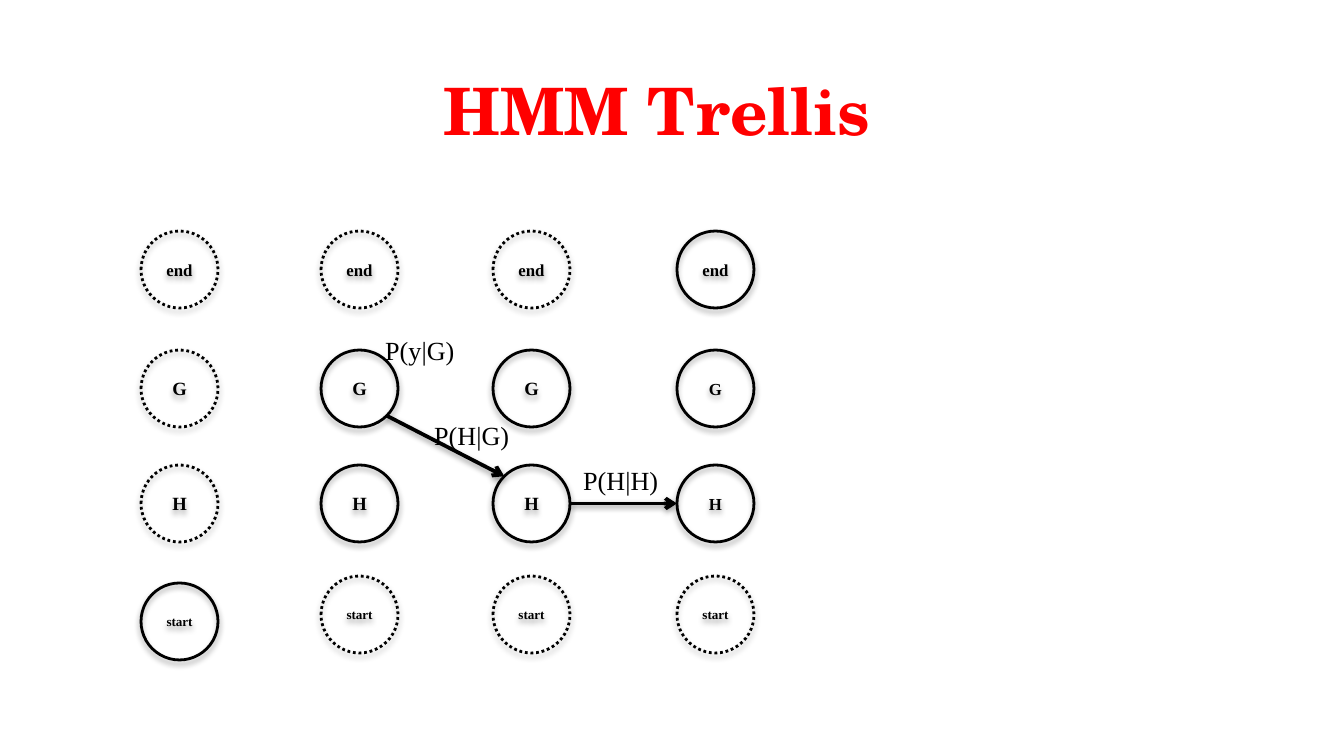
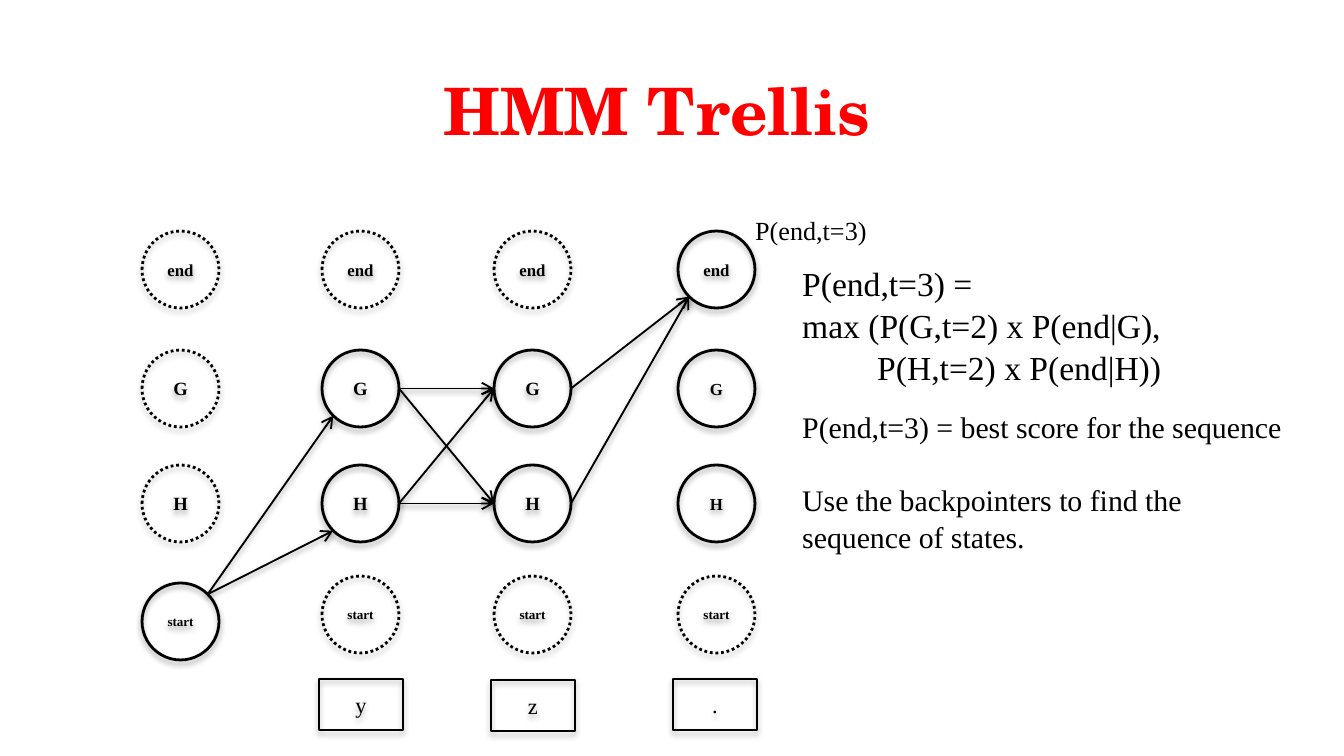
from math import sqrt

from lxml.etree import SubElement
from pptx import Presentation
from pptx.dml.color import RGBColor
from pptx.enum.dml import MSO_LINE
from pptx.enum.shapes import MSO_CONNECTOR, MSO_SHAPE
from pptx.enum.text import MSO_ANCHOR, PP_ALIGN
from pptx.oxml.ns import qn
from pptx.util import Pt

SCALE = 914400 / 134.4  # EMU per pixel
COLORS = {"ink": "000000", "title": "FF0000"}
TITLE_FONT, BODY_FONT = "TeX Gyre Schola", "Times New Roman"
TITLE = "HMM Trellis"

# Trellis: one column per time step, one row per state
COLUMNS = (141, 321, 493, 677)
ROWS = {"end": (231, 9), "G": (350, 10), "H": (465, 10), "start": (576, 7)}
ACTIVE = {"end": (3,), "G": (1, 2, 3), "H": (1, 2, 3), "start": (0,)}
DIAMETER = 77
START_DROP = 7  # the active start node sits a little lower
LAST_SIZE = 9  # largest text size in the last column

DIAG = 1 / sqrt(2)
PORTS = {"left": (-1, 0), "right": (1, 0),
         "top left": (-DIAG, -DIAG), "top right": (DIAG, -DIAG),
         "bottom left": (-DIAG, DIAG), "bottom right": (DIAG, DIAG)}

# Each arrow: (state, step, port) to (state, step, port)
# Each label: left, top, width, height, size, [(text, indent, space before)]
SLIDES = [
    {"shift": 0, "arrow width": 2,
     "arrows": [(("G", 1, "bottom right"), ("H", 2, "top left")),
                (("H", 2, "right"), ("H", 3, "left"))],
     "labels": [(421, 413, 102, 46, 14, [("P(H|G)", 0, 0)]),
                (570, 458, 102, 46, 14, [("P(H|H)", 0, 0)]),
                (372, 328, 97, 46, 14, [("P(y|G)", 0, 0)])],
     "words": []},
    {"shift": 1, "arrow width": 1,
     "arrows": [(("start", 0, "top right"), ("H", 1, "bottom left")),
                (("start", 0, "top right"), ("G", 1, "bottom left")),
                (("H", 1, "right"), ("H", 2, "left")),
                (("G", 1, "right"), ("H", 2, "left")),
                (("G", 1, "right"), ("G", 2, "left")),
                (("H", 1, "right"), ("G", 2, "left")),
                (("H", 2, "right"), ("end", 3, "bottom left")),
                (("G", 2, "right"), ("end", 3, "bottom left"))],
     "labels": [(742, 208, 140, 46, 14, [("P(end,t=3)", 0, 0)]),
                (789, 255, 513, 136, 18,
                 [("P(end,t=3) =\nmax (P(G,t=2) x P(end|G),", 0, 0),
                  ("P(H,t=2) x P(end|H))", 75, 0)]),
                (789, 401, 513, 159, 16,
                 [("P(end,t=3) = best score for the sequence", 0, 0),
                  ("Use the backpointers to find the sequence of states.",
                   0, 19)])],
     "words": [("y", 319, 679), ("z", 491, 680), (".", 673, 679)]},
]
WORD_SIZE = (84, 51)


def px(*values):
    """Turn pixels into a list of EMU lengths."""
    return [round(v * SCALE) for v in values]


def rgb(name):
    """Look up a colour of the palette."""
    return RGBColor.from_string(COLORS[name])


def set_font(p, size, bold=False, name=BODY_FONT, color="ink"):
    """Set the font of a whole paragraph."""
    f = p.font
    f.name, f.size, f.bold = name, Pt(size), bold
    f.color.rgb = rgb(color)


def add_shadow(shape, alpha, dist):
    """Give a shape a soft shadow straight below it."""
    effects = SubElement(shape._element.spPr, qn("a:effectLst"))
    shadow = SubElement(effects, qn("a:outerShdw"), blurRad="40000",
                        dist=str(dist), dir="5400000", rotWithShape="0")
    color = SubElement(shadow, qn("a:srgbClr"), val=COLORS["ink"])
    SubElement(color, qn("a:alpha"), val=str(alpha * 1000))


def add_outline(s, kind, box, text, size, width, bold=False, dotted=False):
    """Draw an unfilled shape with centred text."""
    sp = s.shapes.add_shape(kind, *px(*box))
    sp.fill.background()
    sp.line.color.rgb = rgb("ink")
    sp.line.width = Pt(width)
    if dotted:
        sp.line.dash_style = MSO_LINE.ROUND_DOT
    add_shadow(sp, 35, 23000)
    tf = sp.text_frame
    tf.margin_left = tf.margin_right = tf.margin_top = tf.margin_bottom = 0
    tf.word_wrap = False
    tf.vertical_anchor = MSO_ANCHOR.MIDDLE
    p = tf.paragraphs[0]
    p.text, p.alignment = text, PP_ALIGN.CENTER
    set_font(p, size, bold)


def node_corner(state, step, shift):
    """Return the top left corner of a trellis node."""
    drop = START_DROP if state == "start" and step == 0 else 0
    return COLUMNS[step] + shift, ROWS[state][0] + drop


def port_point(end, shift):
    """Return the point on a node's rim where an arrow attaches."""
    state, step, port = end
    r = DIAMETER / 2
    return [c + r + r * d
            for c, d in zip(node_corner(state, step, shift), PORTS[port])]


def add_arrow(s, start, end, width, shift):
    """Draw an arrow between the rims of two nodes."""
    points = port_point(start, shift) + port_point(end, shift)
    cx = s.shapes.add_connector(MSO_CONNECTOR.STRAIGHT, *px(*points))
    cx.line.color.rgb = rgb("ink")
    cx.line.width = Pt(width)
    SubElement(cx.line._get_or_add_ln(), qn("a:tailEnd"), type="arrow")
    add_shadow(cx, 38, 20000)


def add_label(s, left, top, width, height, size, paragraphs):
    """Add a text box; the multi-line ones wrap."""
    tf = s.shapes.add_textbox(*px(left, top, width, height)).text_frame
    tf.word_wrap = len(paragraphs) > 1
    for i, (text, indent, before) in enumerate(paragraphs):
        p = tf.add_paragraph() if i else tf.paragraphs[0]
        p.text = text
        set_font(p, size)
        if tf.word_wrap:
            p.line_spacing = 1.04
        if before:
            p.space_before = Pt(before)
        if indent:
            p._p.get_or_add_pPr().set("marL", str(px(indent)[0]))


def add_title(s):
    """Place and format the slide title."""
    sp = s.shapes.title
    sp.left, sp.top, sp.width, sp.height = px(38, 58, 1239, 103)
    p = sp.text_frame.paragraphs[0]
    p.text, p.alignment = TITLE, PP_ALIGN.CENTER
    set_font(p, 35, True, TITLE_FONT, "title")


def add_trellis(s, shift):
    """Draw the grid of state nodes, dotted where a state is inactive."""
    for state, (_, size) in ROWS.items():
        for step in range(len(COLUMNS)):
            last = step == len(COLUMNS) - 1
            add_outline(s, MSO_SHAPE.OVAL,
                        (*node_corner(state, step, shift), DIAMETER, DIAMETER),
                        state, min(size, LAST_SIZE) if last else size, 1.5,
                        bold=True, dotted=step not in ACTIVE[state])


prs = Presentation()
prs.slide_width, prs.slide_height = px(1344, 756)
for content in SLIDES:
    s = prs.slides.add_slide(prs.slide_layouts[5])
    add_title(s)
    for start, end in content["arrows"]:
        add_arrow(s, start, end, content["arrow width"], content["shift"])
    for label in content["labels"]:
        add_label(s, *label)
    add_trellis(s, content["shift"])
    for word, left, top in content["words"]:
        add_outline(s, MSO_SHAPE.RECTANGLE, (left, top, *WORD_SIZE), word, 12, 1)
prs.save("out.pptx")
